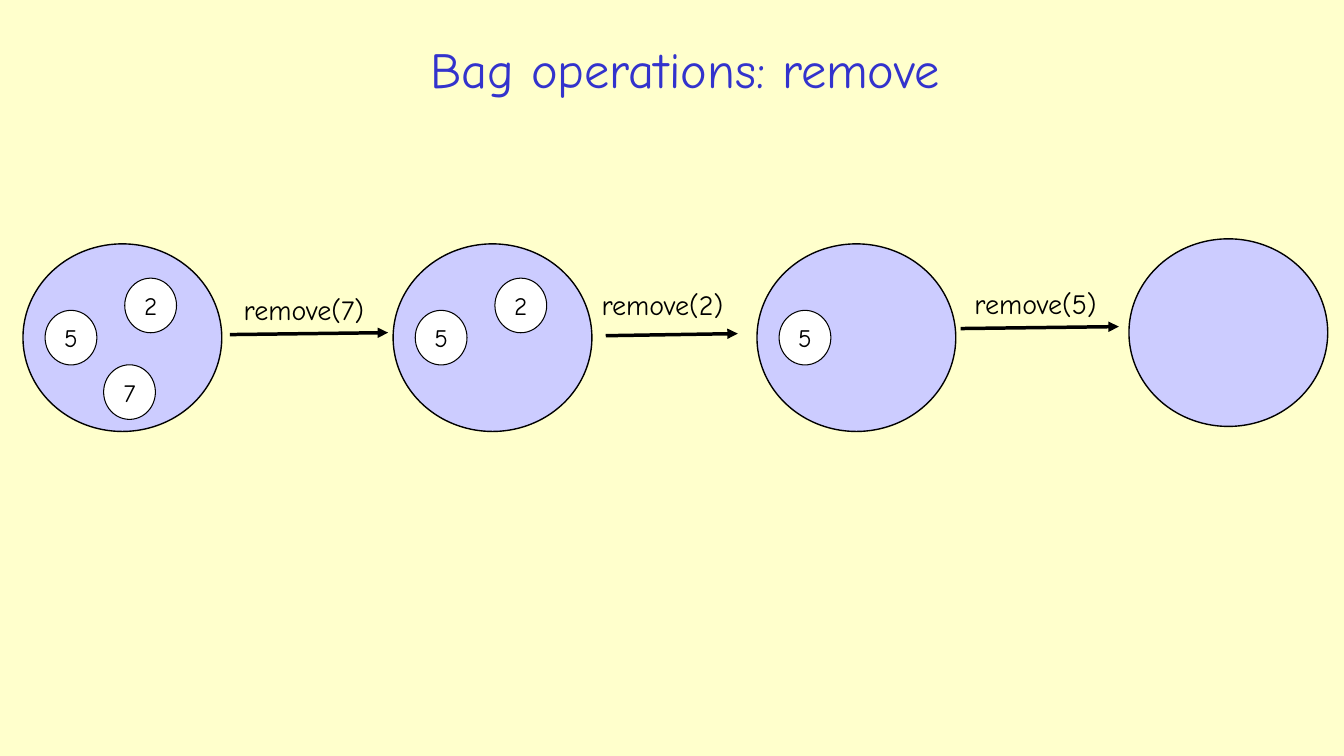
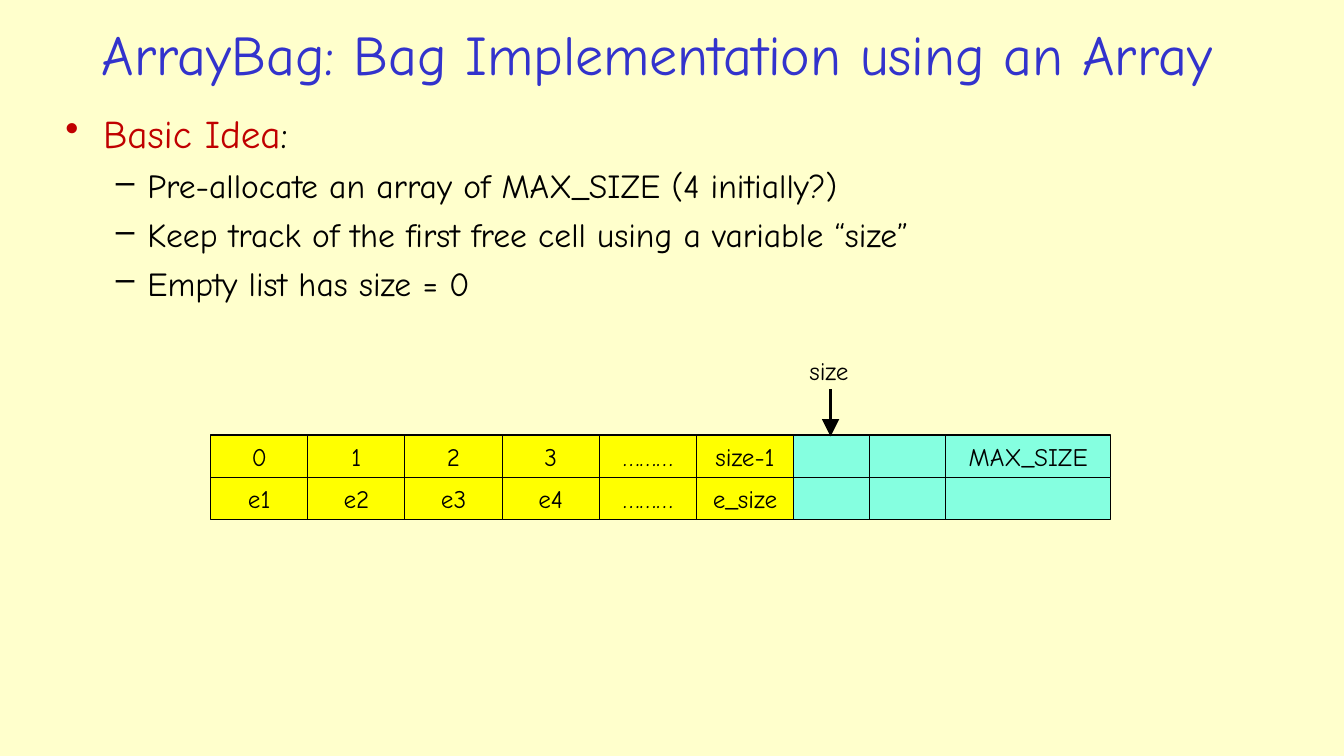
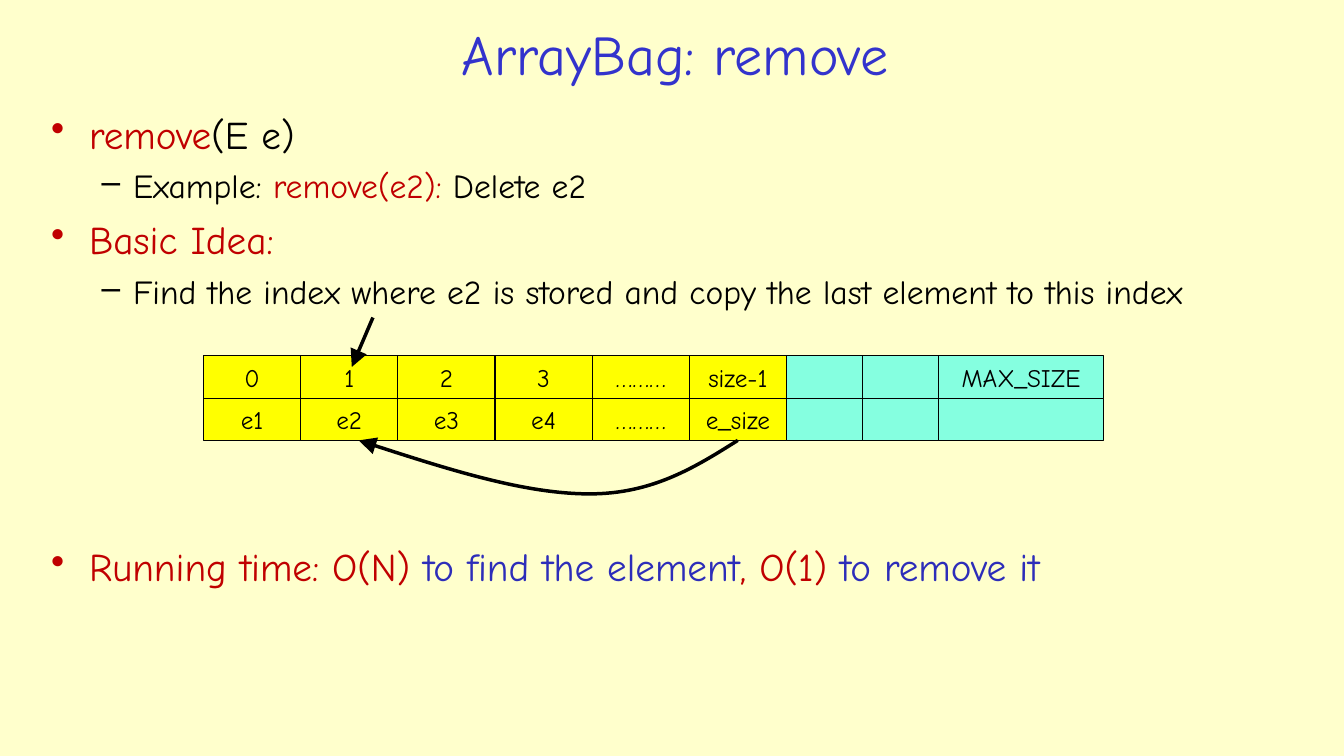
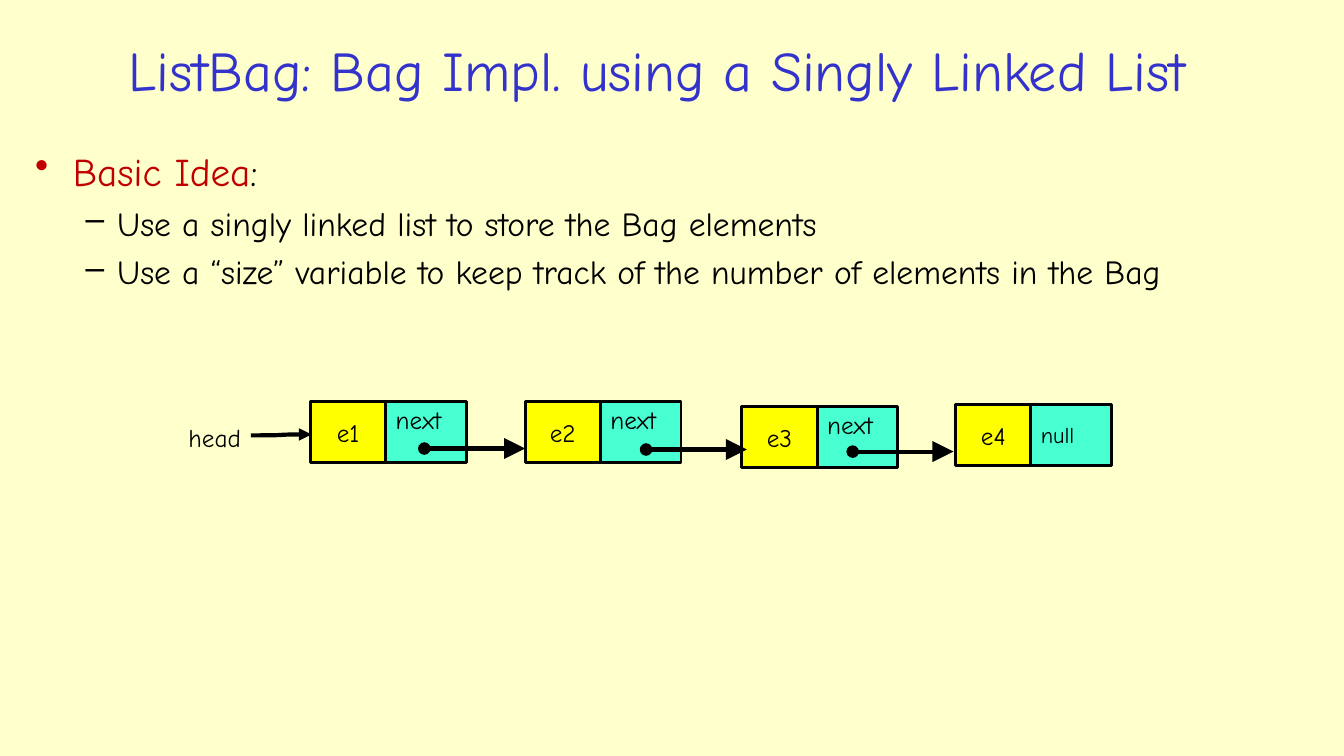
"""Build four slides on the Bag data type and its array and list versions."""
from lxml import etree
from pptx import Presentation
from pptx.dml.color import RGBColor
from pptx.enum.shapes import MSO_CONNECTOR, MSO_SHAPE
from pptx.enum.text import MSO_ANCHOR, PP_ALIGN
from pptx.oxml.ns import qn
from pptx.util import Pt

STRAIGHT, CURVE = MSO_CONNECTOR.STRAIGHT, MSO_CONNECTOR.CURVE
OVAL, RECTANGLE = MSO_SHAPE.OVAL, MSO_SHAPE.RECTANGLE
TOP, MIDDLE = MSO_ANCHOR.TOP, MSO_ANCHOR.MIDDLE
LEFT, CENTER = PP_ALIGN.LEFT, PP_ALIGN.CENTER

FONT = "Comic Neue"
CREAM, BLACK, WHITE = "FFFFCC", "000000", "FFFFFF"
TITLE_BLUE, TEXT_BLUE, RED = "3333CC", "2D2DB9", "C00000"
LILAC, YELLOW, AQUA, TEAL = "CCCCFF", "FFFF00", "85FFE0", "47FFD1"

BULLETS = [
    {"mark": "•", "size": 28, "margin": 27, "indent": -27, "before": 7},
    {"mark": "–", "size": 24, "margin": 58.5, "indent": -22.5, "before": 6},
]

BAG_SIZE = (142, 134)
BALL_SIZE = (37, 39)
BALL_OFFSETS = {"5": (15.8, 47.5), "7": (57.6, 86.4), "2": (72.7, 24.5)}
BAGS = [(16.4, 174.2, "572"), (280.8, 174.2, "52"), (540.7, 174.2, "5"), (806.4, 170.6, "")]
REMOVALS = [
    ("remove(7)", (167, 205.2), (164.2, 239), (277.2, 237.6)),
    ("remove(2)", (422.6, 201.6), (432.7, 239.8), (527, 238.3)),
    ("remove(5)", (689, 200.9), (686.2, 234.7), (799.2, 233.3)),
]

ARRAY_COLUMNS = [
    ("0", "e1", 69.4, YELLOW), ("1", "e2", 69.4, YELLOW), ("2", "e3", 69.4, YELLOW),
    ("3", "e4", 69.4, YELLOW), ("………", "………", 69.4, YELLOW),
    ("size-1", "e_size", 69.4, YELLOW), ("", "", 54.3, AQUA), ("", "", 54.3, AQUA),
    ("MAX_SIZE", "", 118, AQUA),
]
ARRAY_ROW_HEIGHT = 30.2

ARRAY_IDEA = [
    (0, [("Basic Idea", RED), (":", BLACK)]),
    (1, [("Pre-allocate an array of MAX_SIZE (4 initially?)", BLACK)]),
    (1, [("Keep track of the first free cell using a variable “size”", BLACK)]),
    (1, [("Empty list has size = 0", BLACK)]),
]
ARRAY_REMOVE = [
    (0, [("remove", RED), ("(E e)", BLACK)]),
    (1, [("Example: ", BLACK), ("remove(e2): ", RED), ("Delete e2", BLACK)]),
    (0, [("Basic Idea:", RED)]),
    (1, [("Find the index where e2 is stored and copy the last element to this index", BLACK)]),
    (0, [("Running time: O(N) ", RED), ("to find the element", TEXT_BLUE),
         (", O(1) ", RED), ("to remove it", TEXT_BLUE)]),
]
RUNNING_TIME_GAP = 165
COPY_CURVE = [(256.3, 314.6), (316.1, 334.1), (375.8, 352.8), (421.2, 352.8),
              (465.8, 352.8), (496.1, 334.1), (527, 314.6)]

LIST_IDEA = [
    (0, [("Basic Idea", RED), (":", BLACK)]),
    (1, [("Use a singly linked list to store the Bag elements", BLACK)]),
    (1, [("Use a “size” variable to keep track of the number of elements in the Bag", BLACK)]),
]
LIST_NODES = [
    (221.8, 286.6, "e1", "next"), (375.1, 286.6, "e2", "next"),
    (529.9, 290.2, "e3", "next"), (682.6, 288.7, "e4", "null"),
]
NODE_WIDTHS, NODE_HEIGHT = (53.8, 57.6), 43.9
NEXT_ARROWS = [(303.1, 320.4), (461.5, 321.1), (609.1, 322.6)]
NEXT_LENGTH = 72


def rgb(value):
    return RGBColor.from_string(value)


def write(paragraph, text, size=18, color=BLACK, align=LEFT):
    paragraph.alignment = align
    for words, run_color in [(text, color)] if isinstance(text, str) else text:
        run = paragraph.add_run()
        run.text = words
        run.font.name = FONT
        run.font.size = Pt(size)
        run.font.color.rgb = rgb(run_color)


def add_text_box(slide, left, top, width, height, anchor=TOP):
    frame = slide.shapes.add_textbox(Pt(left), Pt(top), Pt(width), Pt(height)).text_frame
    frame.word_wrap = True
    frame.vertical_anchor = anchor
    return frame


def add_label(slide, text, left, top, width, height, anchor=TOP, **style):
    frame = add_text_box(slide, left, top, width, height, anchor)
    write(frame.paragraphs[0], text, **style)


def add_body(slide, items, left, top, width, height, last_gap=None):
    frame = add_text_box(slide, left, top, width, height)
    for index, (level, runs) in enumerate(items):
        paragraph = frame.paragraphs[0] if index == 0 else frame.add_paragraph()
        bullet = BULLETS[level]
        properties = paragraph._p.get_or_add_pPr()
        properties.set("marL", str(Pt(bullet["margin"])))
        properties.set("indent", str(Pt(bullet["indent"])))
        etree.SubElement(properties, qn("a:buChar")).set("char", bullet["mark"])
        paragraph.level = level
        if index:
            paragraph.space_before = Pt(bullet["before"])
        write(paragraph, runs, size=bullet["size"])
    if last_gap:
        frame.paragraphs[-1].space_before = Pt(last_gap)


def add_box(slide, kind, left, top, width, height, fill, line=0.75, text="",
            anchor=MIDDLE, **style):
    shape = slide.shapes.add_shape(kind, Pt(left), Pt(top), Pt(width), Pt(height))
    shape.fill.solid()
    shape.fill.fore_color.rgb = rgb(fill)
    shape.line.color.rgb = rgb(BLACK)
    shape.line.width = Pt(line)
    shape.shadow.inherit = False
    if text:
        frame = shape.text_frame
        frame.word_wrap = True
        frame.vertical_anchor = anchor
        frame.margin_top = frame.margin_bottom = Pt(2)
        write(frame.paragraphs[0], text, **style)


def style_line(shape, width, **ends):
    shape.line.color.rgb = rgb(BLACK)
    shape.line.width = Pt(width)
    line = shape._element.spPr.find(qn("a:ln"))
    for end, (kind, size) in ends.items():
        etree.SubElement(line, qn(f"a:{end}End"), type=kind, w=size, len=size)


def add_arrow(slide, start, end, width=2.5, kind=STRAIGHT, **ends):
    connector = slide.shapes.add_connector(kind, *(Pt(value) for value in (*start, *end)))
    style_line(connector, width, **ends)
    etree.SubElement(connector._element.spPr, qn("a:effectLst"))


def add_curve(slide, points):
    (start_x, start_y), *rest = [(Pt(x), Pt(y)) for x, y in points]
    builder = slide.shapes.build_freeform(start_x, start_y)
    builder.add_line_segments(rest, close=False)
    shape = builder.convert_to_shape()
    outline = shape._element.spPr.find(".//" + qn("a:path"))
    segments = outline.findall(qn("a:lnTo"))
    for first in range(0, len(segments), 3):
        bezier = etree.SubElement(outline, qn("a:cubicBezTo"))
        for segment in segments[first:first + 3]:
            bezier.append(segment[0])
            outline.remove(segment)
    shape.fill.background()
    style_line(shape, 2.5, head=("triangle", "lg"))
    shape.shadow.inherit = False


def add_array(slide, left, top):
    for *labels, width, fill in ARRAY_COLUMNS:
        for row, label in enumerate(labels):
            add_box(slide, RECTANGLE, left, top + row * ARRAY_ROW_HEIGHT, width,
                    ARRAY_ROW_HEIGHT, fill, text=label, align=CENTER)
        left += width


def add_slide(presentation, title, left, top, width, height, size=40):
    slide = presentation.slides.add_slide(presentation.slide_layouts[6])
    add_label(slide, title, left, top, width, height, anchor=MIDDLE,
              size=size, color=TITLE_BLUE, align=CENTER)
    return slide


def build_bag_remove(presentation):
    slide = add_slide(presentation, "Bag operations: remove", 80.6, 18.7, 817.2, 60.5, size=36)
    for left, top, balls in BAGS:
        add_box(slide, OVAL, left, top, *BAG_SIZE, LILAC, line=1)
        for ball in balls:
            across, down = BALL_OFFSETS[ball]
            add_box(slide, OVAL, left + across, top + down, *BALL_SIZE, WHITE,
                    text=ball, align=CENTER)
    for call, corner, start, end in REMOVALS:
        add_arrow(slide, start, end, tail=("triangle", "med"))
        add_label(slide, call, *corner, 115, 31.7, size=20)


def build_array_bag(presentation):
    slide = add_slide(presentation, "ArrayBag: Bag Implementation using an Array",
                      23, 10.8, 892.8, 54.7)
    add_body(slide, ARRAY_IDEA, 39.6, 74.9, 884.2, 158.4)
    add_array(slide, 150.5, 310.7)
    add_arrow(slide, (593.3, 277.9), (593.3, 311.8), tail=("triangle", "lg"))
    add_label(slide, "size", 571, 250.6, 50.4, 28.8)


def build_array_remove(presentation):
    slide = add_slide(presentation, "ArrayBag: remove", 145.4, 10.8, 673.9, 54.7)
    add_body(slide, ARRAY_REMOVE, 29.5, 74.9, 900, 450, last_gap=RUNNING_TIME_GAP)
    add_array(slide, 145.4, 254.2)
    add_arrow(slide, (266.4, 226.8), (251.3, 262.1), tail=("triangle", "lg"))
    add_curve(slide, COPY_CURVE)


def build_list_bag(presentation):
    slide = add_slide(presentation, "ListBag: Bag Impl. using a Singly Linked List",
                      23, 10.8, 892.8, 77)
    add_body(slide, LIST_IDEA, 18, 101.5, 922.3, 158.4)
    add_label(slide, "head", 126, 298.1, 54.7, 28.8, align=CENTER)
    add_arrow(slide, (179.3, 311), (222.5, 310.3), width=3, kind=CURVE,
              tail=("triangle", "med"))
    value_width, link_width = NODE_WIDTHS
    for left, top, value, link in LIST_NODES:
        size, anchor = (16, MIDDLE) if link == "null" else (18, TOP)
        add_box(slide, RECTANGLE, left + value_width, top, link_width, NODE_HEIGHT, TEAL,
                line=2, text=link, anchor=anchor, size=size)
        add_box(slide, RECTANGLE, left, top, value_width, NODE_HEIGHT, YELLOW,
                line=2, text=value, align=CENTER)
    for x, y in NEXT_ARROWS:
        add_arrow(slide, (x, y), (x + NEXT_LENGTH, y), width=3,
                  head=("oval", "med"), tail=("triangle", "lg"))


def main():
    presentation = Presentation()
    presentation.slide_width, presentation.slide_height = Pt(960), Pt(540)
    background = presentation.slide_master.background.fill
    background.solid()
    background.fore_color.rgb = rgb(CREAM)
    build_bag_remove(presentation)
    build_array_bag(presentation)
    build_array_remove(presentation)
    build_list_bag(presentation)
    presentation.save("out.pptx")


if __name__ == "__main__":
    main()
